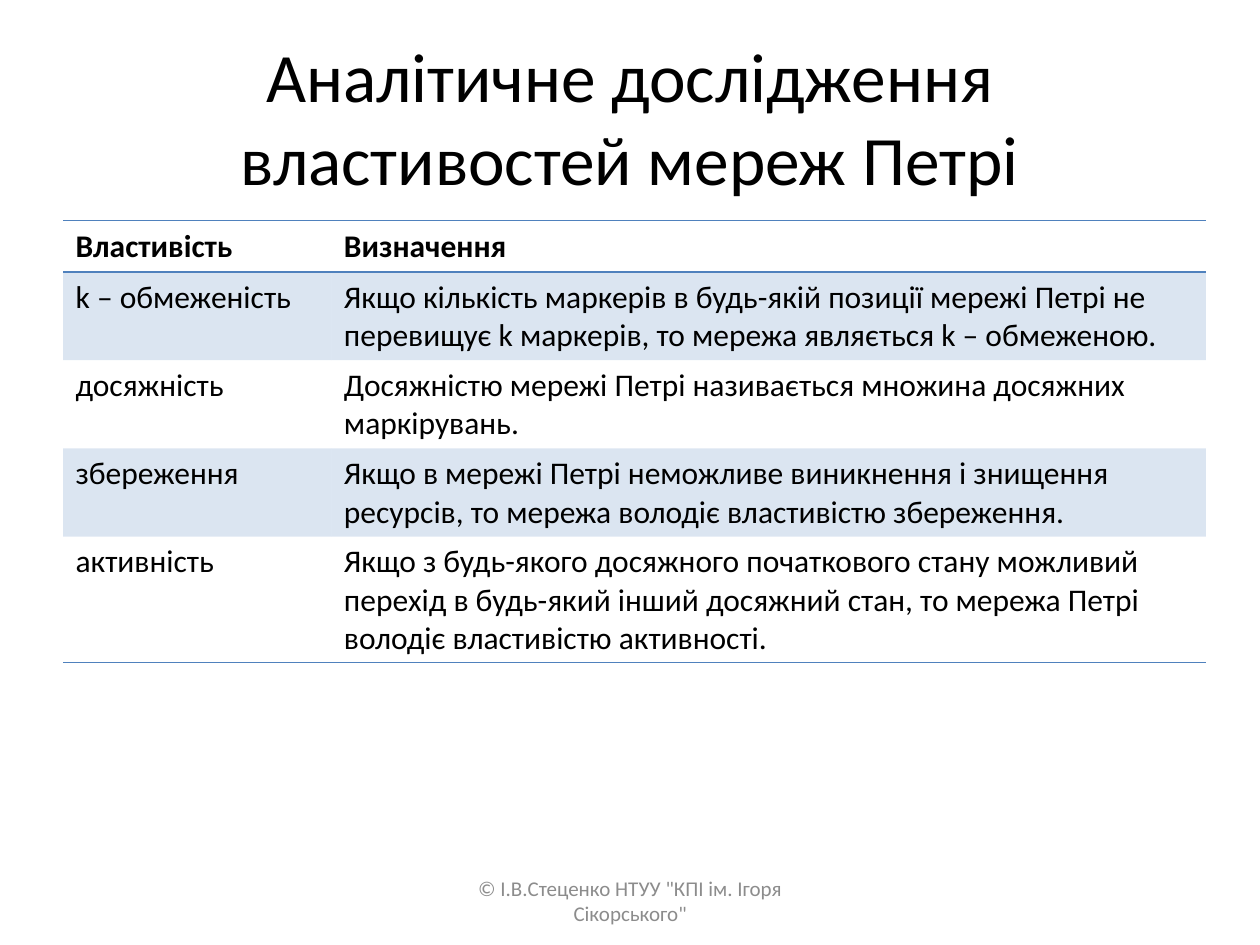
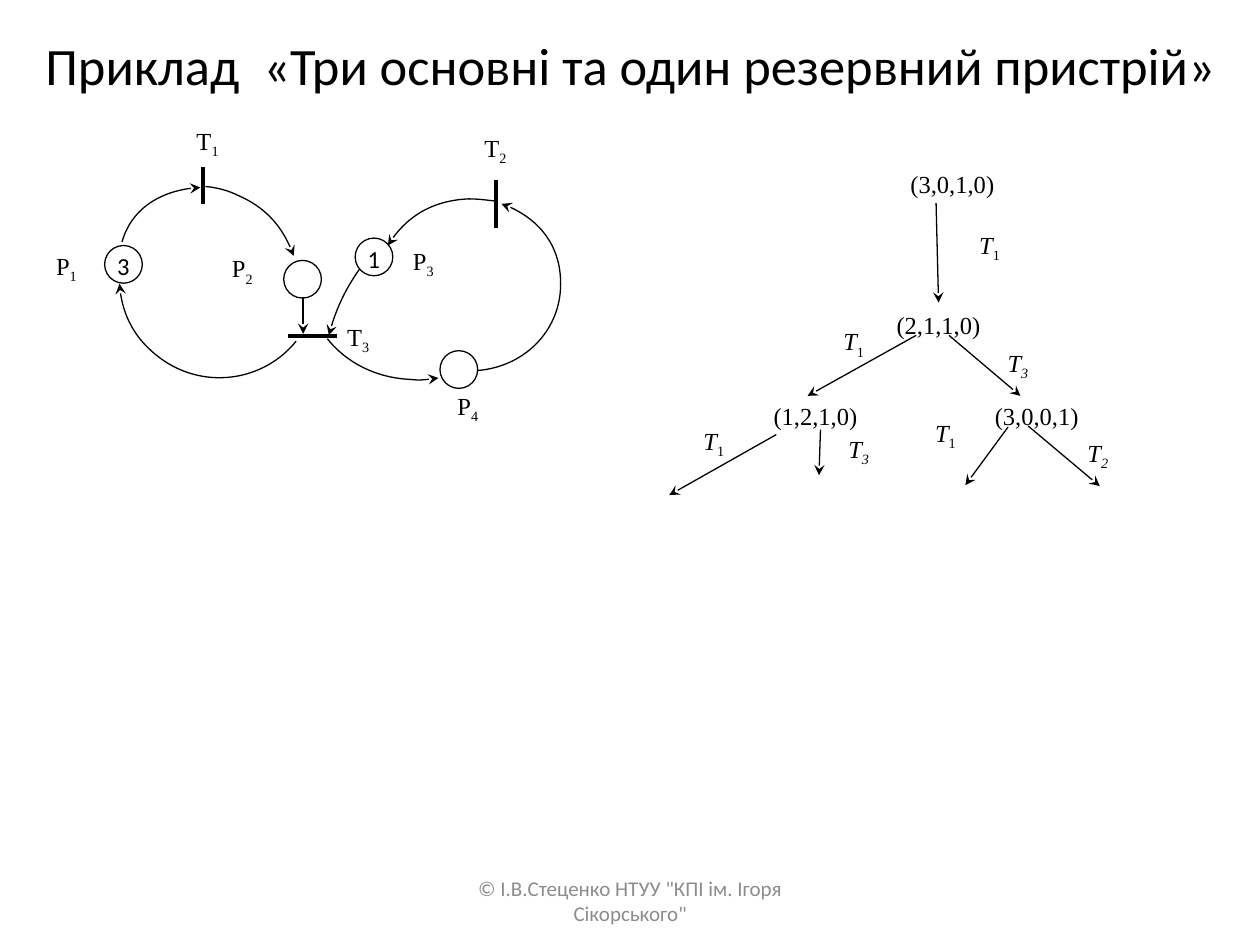
from copy import deepcopy
from dataclasses import dataclass

from lxml import etree
from pptx import Presentation
from pptx import util as u
from pptx.dml import color
from pptx.enum import shapes, text
from pptx.oxml import ns

COLORS = {"ink": "000000", "paper": "FFFFFF", "accent": "4F81BD", "footer": "8C8C8C"}
SANS, SERIF = "Calibri", "Times New Roman"
FOOTER = '© І.В.Стеценко НТУУ "КПІ ім. Ігоря Сікорського"'
NO_TABLE_STYLE = "{2D5ABB26-0587-4C30-8999-92F81FD0307C}"
PLACE_SIZE = 0.76
THIN, THICK = 0.75, 2.25

Point = tuple[float, float]


# All positions and sizes below are in centimetres
@dataclass
class Label:
    name: str
    left: float
    top: float
    width: float
    height: float
    index: str = ""
    italic: bool = False
    index_italic: bool = False


@dataclass
class Place:
    left: float
    top: float
    markers: str = ""


@dataclass
class Line:
    start: Point
    end: Point


@dataclass
class Arc:
    center: Point
    controls: list[Point]  # Bezier points, three more for each further segment


def state(marking: str, left: float, top: float) -> Label:
    return Label(marking, left, top, 2.16, 0.58)


def firing(index: str, left: float, top: float) -> Label:
    return Label("Т", left, top, 0.94, 0.74, index, True, index != "1")


PROPERTIES = [
    ("Властивість", "Визначення"),
    ("k – обмеженість", "Якщо кількість маркерів в будь-якій позиції мережі Петрі не "
     "перевищує k маркерів, то мережа являється k – обмеженою."),
    ("досяжність", "Досяжністю мережі Петрі називається множина досяжних маркірувань."),
    ("збереження", "Якщо в мережі Петрі неможливе виникнення і знищення ресурсів, "
     "то мережа володіє властивістю збереження."),
    ("активність", "Якщо з будь-якого досяжного початкового стану можливий перехід в "
     "будь-який інший досяжний стан, то мережа Петрі володіє властивістю активності."),
]

NET_LABELS = [
    Label("T", 3.64, 2.58, 1.09, 0.79, "1"),
    Label("T", 9.52, 2.72, 0.94, 0.84, "2"),
    Label("T", 6.65, 6.53, 1.14, 0.69, "3"),
    Label("P", 0.73, 5.1, 1.22, 0.79, "1"),
    Label("P", 4.15, 5.15, 1.47, 0.79, "2"),
    Label("P", 7.99, 5.0, 1.09, 0.84, "3"),
    Label("P", 8.78, 7.92, 1.3, 0.79, "4"),
]
PLACES = [Place(2.11, 4.95, "3"), Place(5.72, 5.25), Place(7.16, 4.8, "1"), Place(8.87, 7.07)]
TRANSITION_BARS = [
    Line((4.09, 3.37), (4.09, 4.11)),
    Line((10.0, 3.63), (10.0, 4.6)),
    Line((5.81, 6.78), (6.8, 6.78)),
]
P2_TO_T3 = Line((6.11, 5.99), (6.11, 6.73))

NET_ARCS = [
    Arc((4.17, 5.36), [(2.46, 4.88), (2.64, 4.24), (3.28, 3.81), (4.04, 3.78)]),
    Arc((4.11, 5.46), [(4.14, 3.76), (4.37, 3.78), (4.6, 3.84), (4.8, 3.94),
                       (5.33, 4.17), (5.74, 4.62), (5.92, 5.16)]),
    Arc((4.39, 5.64), [(5.97, 6.88), (5.33, 7.67), (4.19, 7.85), (3.33, 7.29),
                       (2.79, 6.93), (2.44, 6.35), (2.41, 5.72)]),
    Arc((9.27, 7.57), [(7.26, 5.41), (6.99, 5.79), (6.76, 6.25), (6.63, 6.76)]),
    Arc((8.38, 5.74), [(6.6, 6.83), (6.99, 7.32), (7.59, 7.62), (8.28, 7.65),
                       (8.46, 7.67), (8.66, 7.65), (8.84, 7.62)]),
    Arc((9.55, 5.74), [(9.63, 7.47), (10.62, 7.39), (11.35, 6.6), (11.3, 5.64),
                       (11.28, 4.95), (10.8, 4.34), (10.11, 4.11)]),
    Arc((9.53, 5.69), [(10.03, 4.06), (9.86, 4.04), (9.65, 4.01), (9.45, 4.01),
                       (8.76, 4.04), (8.15, 4.39), (7.82, 4.95)]),
]

TREE_LABELS = [
    state("(3,0,1,0)", 18.12, 3.37),
    state("(2,1,1,0)", 17.84, 6.2),
    state("(1,2,1,0)", 15.36, 8.04),
    state("(3,0,0,1)", 19.82, 8.04),
    firing("1", 19.48, 4.67),
    firing("1", 16.74, 6.62),
    firing("3", 20.05, 7.05),
    firing("1", 13.92, 8.63),
    firing("3", 16.84, 8.79),
    firing("1", 18.59, 8.47),
    firing("2", 21.66, 8.86),
]
TREE_ARROWS = [
    Line((18.87, 4.09), (18.92, 6.1)),
    Line((18.47, 6.76), (16.28, 7.98)),
    Line((19.13, 6.76), (20.57, 7.98)),
    Line((15.65, 8.76), (13.49, 9.98)),
    Line((16.54, 8.66), (16.51, 9.58)),
    Line((20.32, 8.61), (19.46, 9.78)),
    Line((20.73, 8.59), (22.17, 9.8)),
]


# Shared helpers
def rgb(name: str) -> color.RGBColor:
    return color.RGBColor.from_string(COLORS[name])


def add_run(paragraph, content: str, *, size: float, font: str = SANS, ink: str = "ink",
            bold: bool = False, italic: bool = False, subscript: bool = False,
            tracking: float = 0) -> None:
    run = paragraph.add_run()
    run.text = content
    run.font.size, run.font.name = u.Pt(size), font
    run.font.bold, run.font.italic = bold, italic
    run.font.color.rgb = rgb(ink)
    if subscript:
        run.font._element.set("baseline", "-25000")
    if tracking:
        run.font._element.set("spc", str(round(tracking * 100)))


def add_caption(slide, left: float, top: float, width: float, height: float):
    box = slide.shapes.add_textbox(u.Cm(left), u.Cm(top), u.Cm(width), u.Cm(height))
    frame = box.text_frame
    frame.word_wrap = True
    frame.vertical_anchor = text.MSO_ANCHOR.MIDDLE
    frame.paragraphs[0].alignment = text.PP_ALIGN.CENTER
    return frame.paragraphs[0]


def add_footer(slide) -> None:
    add_run(add_caption(slide, 8.68, 17.65, 8.05, 1.02), FOOTER, size=12, ink="footer")


def add_plain_shape(slide, kind, left: float, top: float, width: float, height: float,
                    outline: str):
    shape = slide.shapes.add_shape(kind, u.Cm(left), u.Cm(top), u.Cm(width), u.Cm(height))
    shape.shadow.inherit = False
    shape.fill.solid()
    shape.fill.fore_color.rgb = rgb("paper")
    shape.line.color.rgb = rgb(outline)
    shape.line.width = u.Pt(THIN)
    frame = shape.text_frame
    frame.margin_left = frame.margin_right = frame.margin_top = frame.margin_bottom = 0
    frame.vertical_anchor = text.MSO_ANCHOR.TOP
    frame.paragraphs[0].alignment = text.PP_ALIGN.CENTER
    return shape


def style_line(shape, width: float, arrow: bool) -> None:
    shape.line.color.rgb = rgb("ink")
    shape.line.width = u.Pt(width)
    if arrow:
        etree.SubElement(shape.line._get_or_add_ln(), ns.qn("a:tailEnd"), type="stealth")


# Diagram elements
def draw_label(slide, label: Label) -> None:
    shape = add_plain_shape(slide, shapes.MSO_SHAPE.RECTANGLE, label.left, label.top,
                            label.width, label.height, "paper")
    paragraph = shape.text_frame.paragraphs[0]
    paragraph.line_spacing = u.Pt(18)
    add_run(paragraph, label.name, size=14, font=SERIF, italic=label.italic)
    if label.index:
        add_run(paragraph, label.index, size=14, font=SERIF, italic=label.index_italic,
                subscript=True)


def draw_place(slide, place: Place) -> None:
    shape = add_plain_shape(slide, shapes.MSO_SHAPE.OVAL, place.left, place.top,
                            PLACE_SIZE, PLACE_SIZE, "ink")
    if place.markers:
        add_run(shape.text_frame.paragraphs[0], place.markers, size=14)


def draw_line(slide, line: Line, width: float = THIN, arrow: bool = True) -> None:
    connector = slide.shapes.add_connector(
        shapes.MSO_CONNECTOR.STRAIGHT, *(u.Cm(value) for value in line.start + line.end))
    style_line(connector, width, arrow)
    etree.SubElement(connector._element.spPr, ns.qn("a:effectLst"))


def curve_sector(sector) -> None:
    """Turn a polygon into a curved sector plus its stroked open arc."""
    *sides, center_side = sector.findall(ns.qn("a:lnTo"))
    for first in range(0, len(sides), 3):
        curve = etree.Element(ns.qn("a:cubicBezTo"))
        sides[first].addprevious(curve)
        for side in sides[first:first + 3]:
            curve.append(side[0])
            sector.remove(side)
    outline = deepcopy(sector)
    for part in outline.findall(ns.qn("a:lnTo")) + outline.findall(ns.qn("a:close")):
        outline.remove(part)
    outline.set("fill", "none")
    sector.set("stroke", "0")
    sector.addprevious(outline)


def draw_arc(slide, arc: Arc) -> None:
    start, *points = [(u.Cm(x), u.Cm(y)) for x, y in arc.controls + [arc.center]]
    builder = slide.shapes.build_freeform(*start)
    builder.add_line_segments(points, close=True)
    shape = builder.convert_to_shape()
    curve_sector(shape._element.spPr.find(".//" + ns.qn("a:path")))
    shape.shadow.inherit = False
    shape.fill.background()
    style_line(shape, THIN, True)


# Table elements
def add_border(cell, edge: str) -> None:
    border = etree.SubElement(cell._tc.get_or_add_tcPr(), ns.qn(f"a:{edge}"),
                              w=str(u.Pt(1)))
    fill = etree.SubElement(border, ns.qn("a:solidFill"))
    etree.SubElement(fill, ns.qn("a:srgbClr"), val=COLORS["accent"])


def fill_cell(cell, banded: bool) -> None:
    if not banded:
        cell.fill.background()
        return
    cell.fill.solid()
    cell.fill.fore_color.rgb = rgb("accent")
    tint = cell._tc.tcPr.find(ns.qn("a:solidFill"))[0]
    etree.SubElement(tint, ns.qn("a:alpha"), val="20000")


def draw_properties_table(slide) -> None:
    column_widths, row_height = (5.41, 17.63), 1.03
    frame = slide.shapes.add_table(
        len(PROPERTIES), len(column_widths), u.Cm(1.27), u.Cm(4.45),
        u.Cm(sum(column_widths)), u.Cm(row_height * len(PROPERTIES)))
    table = frame.table
    table.first_row = table.horz_banding = False
    table._tbl.tblPr.find(ns.qn("a:tableStyleId")).text = NO_TABLE_STYLE
    for column, width in zip(table.columns, column_widths):
        column.width = u.Cm(width)
    frame.height = u.Cm(8.92)
    for row_index, row in enumerate(PROPERTIES):
        is_header = row_index == 0
        for column_index, content in enumerate(row):
            cell = table.cell(row_index, column_index)
            add_run(cell.text_frame.paragraphs[0], content, size=18, bold=is_header)
            if is_header:
                add_border(cell, "lnT")
            if is_header or row_index == len(PROPERTIES) - 1:
                add_border(cell, "lnB")
            fill_cell(cell, banded=row_index % 2 == 1)


# Slides
def build_properties_slide(slide) -> None:
    title = add_caption(slide, 1.27, 0.76, 22.86, 3.18)
    add_run(title, "Аналітичне дослідження властивостей мереж Петрі", size=39.6)
    draw_properties_table(slide)
    add_footer(slide)


def build_example_slide(slide) -> None:
    title = add_caption(slide, 0.33, 0.51, 24.77, 1.57)
    add_run(title, "Приклад", size=30)
    add_run(title, " ", size=30, tracking=6.8)
    add_run(title, "«Три основні та один резервний пристрій»", size=30)
    for label in NET_LABELS + TREE_LABELS:
        draw_label(slide, label)
    for bar in TRANSITION_BARS:
        draw_line(slide, bar, THICK, arrow=False)
    for arc in NET_ARCS:
        draw_arc(slide, arc)
    for place in PLACES:
        draw_place(slide, place)
    for arrow in [P2_TO_T3] + TREE_ARROWS:
        draw_line(slide, arrow)
    add_footer(slide)


def main() -> None:
    presentation = Presentation()
    presentation.slide_width, presentation.slide_height = u.Cm(25.4), u.Cm(19.05)
    blank = presentation.slide_layouts[6]
    for build in (build_properties_slide, build_example_slide):
        build(presentation.slides.add_slide(blank))
    presentation.save("out.pptx")


if __name__ == "__main__":
    main()
